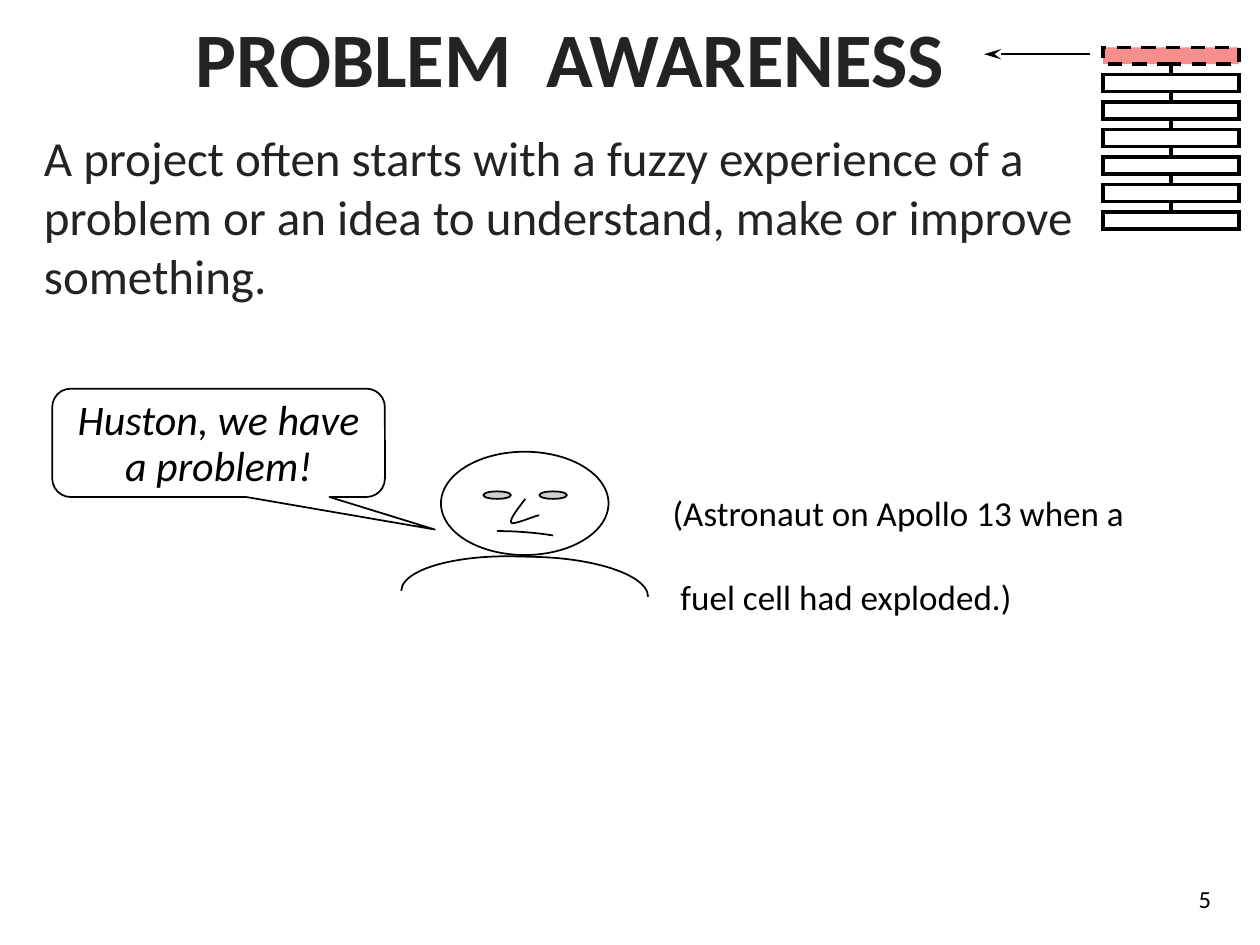
"""Build the problem awareness slide with its speaking astronaut and step chain."""
from itertools import pairwise

from lxml import etree
from pptx import Presentation
from pptx import util as u
from pptx.dml.color import RGBColor
from pptx.enum import dml, shapes, text
from pptx.oxml.ns import qn

BLACK = RGBColor(0x00, 0x00, 0x00)
INK = RGBColor(0x23, 0x23, 0x23)
WHITE = RGBColor(0xFF, 0xFF, 0xFF)
EYE_GREY = RGBColor(0xCE, 0xCE, 0xCE)
ACTIVE_PINK = RGBColor(0xF6, 0x8E, 0x8E)

FONT = "Calibri"
WIDTH, HEIGHT = u.Inches(10), u.Inches(7.5)
COLUMNS, ROWS = 100, 75

TITLE = "PROBLEM  AWARENESS"
BODY = ("A project often starts with a fuzzy experience of a problem "
        "or an idea to understand, make or improve something.")
SPEECH = "Huston, we have a problem!"
SOURCE_LINES = ("(Astronaut on Apollo 13 when a", " fuel cell had exploded.)")
PAGE_NUMBER = "5"

TITLE_AREA = (6.9, 0.3, 76.7, 8)
BODY_AREA = (2.5, 9.65, 84.2, 15)
SPEECH_AREA = (4.15, 30.85, 26.4, 8.6)
SOURCE_AREA = (52.4, 38.5, 38.3, 7.7)
NUMBER_AREA = (92.5, 68.7, 4.6, 5.2)
HEAD_AREA = (35, 35.85, 13.3, 8.2)
EYE_AREAS = [(left, 39, 2.2, 0.6) for left in (38.35, 42.8)]
SHOULDER_AREA = (40.2, 35.85, 2.95, 19.6)
NOSE = [((41.7, 39.6), (41, 40.5), (40.4, 41.3), (40.6, 41.5)),
        ((40.6, 41.5), (40.7, 41.7), (42.6, 40.9), (42.8, 40.9))]
MOUTH = [((39.45, 42.15), (41.1, 42.15), (42.7, 42.3), (43.9, 42.5))]
STEP_COUNT, STEP_PITCH = 7, 2.18
FIRST_STEP = (87.55, 3.75, 10.8, 1.35)
POINTER = (86.5, 4.3, 78.1, 4.3)


def place(columns, rows):
    return round(columns * WIDTH / COLUMNS), round(rows * HEIGHT / ROWS)


def area(left, top, width, height):
    return *place(left, top), *place(width, height)


def outline(shape, width=1, fill=None):
    shape.shadow.inherit = False
    shape.line.color.rgb = BLACK
    shape.line.width = u.Pt(width)
    if fill is None:
        shape.fill.background()
    else:
        shape.fill.solid()
        shape.fill.fore_color.rgb = fill


def add_figure(slide, kind, box, width=1, fill=None):
    shape = slide.shapes.add_shape(kind, *area(*box))
    outline(shape, width, fill)
    return shape


def add_line(slide, start, end, width):
    connector = slide.shapes.add_connector(shapes.MSO_CONNECTOR.STRAIGHT, *start, *end)
    connector.line.color.rgb = BLACK
    connector.line.width = u.Pt(width)
    etree.SubElement(connector._element.spPr, qn("a:effectLst"))
    return connector


def write(shape, lines, size, color=BLACK, align=text.PP_ALIGN.LEFT, bold=False, italic=False):
    frame = shape.text_frame
    frame.word_wrap = True
    frame.auto_size = text.MSO_AUTO_SIZE.NONE
    frame.text = "\n".join(lines)
    for paragraph in frame.paragraphs:
        paragraph.alignment = align
        font = paragraph.runs[0].font
        font.name, font.size, font.color.rgb = FONT, u.Pt(size), color
        font.bold, font.italic = bold, italic
    return frame


def curve_points(segments, steps=12):
    for segment in segments:
        for step in range(steps + 1):
            t = step / steps
            weights = ((1 - t) ** 3, 3 * t * (1 - t) ** 2, 3 * t ** 2 * (1 - t), t ** 3)
            yield place(*(sum(w * p[axis] for w, p in zip(weights, segment)) for axis in (0, 1)))


def add_texts(slide):
    title = slide.shapes.title
    title.left, title.top, title.width, title.height = area(*TITLE_AREA)
    frame = write(title, [TITLE], 44, INK, text.PP_ALIGN.CENTER, bold=True)
    frame.vertical_anchor = text.MSO_ANCHOR.TOP

    write(slide.shapes.add_textbox(*area(*BODY_AREA)), [BODY], 28, INK)
    frame = write(slide.shapes.add_textbox(*area(*SOURCE_AREA)), SOURCE_LINES, 20)
    frame.paragraphs[1].space_before = u.Pt(24)
    frame = write(slide.shapes.add_textbox(*area(*NUMBER_AREA)), [PAGE_NUMBER], 14,
                  align=text.PP_ALIGN.RIGHT)
    frame.vertical_anchor = text.MSO_ANCHOR.MIDDLE


def add_astronaut(slide):
    add_figure(slide, shapes.MSO_SHAPE.OVAL, HEAD_AREA)
    for eye_area in EYE_AREAS:
        add_figure(slide, shapes.MSO_SHAPE.OVAL, eye_area, fill=EYE_GREY)
    for segments in (NOSE, MOUTH):
        start, *points = curve_points(segments)
        builder = slide.shapes.build_freeform(*start)
        builder.add_line_segments(points, close=False)
        outline(builder.convert_to_shape())
    shoulders = add_figure(slide, shapes.MSO_SHAPE.RIGHT_BRACKET, SHOULDER_AREA)
    shoulders.adjustments[0] = 3.05
    shoulders.rotation = 271.4

    bubble = add_figure(slide, shapes.MSO_SHAPE.ROUNDED_RECTANGULAR_CALLOUT, SPEECH_AREA)
    for index, value in enumerate((0.65, 0.8, 0.17)):
        bubble.adjustments[index] = value
    frame = write(bubble, [SPEECH], 24, align=text.PP_ALIGN.CENTER, italic=True)
    frame.vertical_anchor = text.MSO_ANCHOR.MIDDLE
    frame.margin_top = u.Inches(0.08)
    frame.paragraphs[0].line_spacing = 0.9


def add_step_chain(slide):
    left, top, width, height = FIRST_STEP
    steps = [add_figure(slide, shapes.MSO_SHAPE.RECTANGLE,
                        (left, top + index * STEP_PITCH, width, height), 2,
                        WHITE if index else ACTIVE_PINK)
             for index in range(STEP_COUNT)]
    steps[0].line.dash_style = dml.MSO_LINE.DASH
    for step in steps:
        etree.SubElement(step.line._get_or_add_ln(), qn("a:miter"), lim="800000")
    for upper, lower in pairwise(steps):
        middle = upper.left + upper.width // 2
        link = add_line(slide, (middle, upper.top + upper.height), (middle, lower.top), 2)
        link.begin_connect(upper, 2)
        link.end_connect(lower, 0)
    pointer = add_line(slide, place(*POINTER[:2]), place(*POINTER[2:]), 1)
    etree.SubElement(pointer.line._get_or_add_ln(), qn("a:tailEnd"), type="stealth", len="lg")


def main():
    presentation = Presentation()
    presentation.slide_width, presentation.slide_height = WIDTH, HEIGHT
    slide = presentation.slides.add_slide(presentation.slide_layouts[5])
    add_texts(slide)
    add_astronaut(slide)
    add_step_chain(slide)
    presentation.save("out.pptx")


if __name__ == "__main__":
    main()
